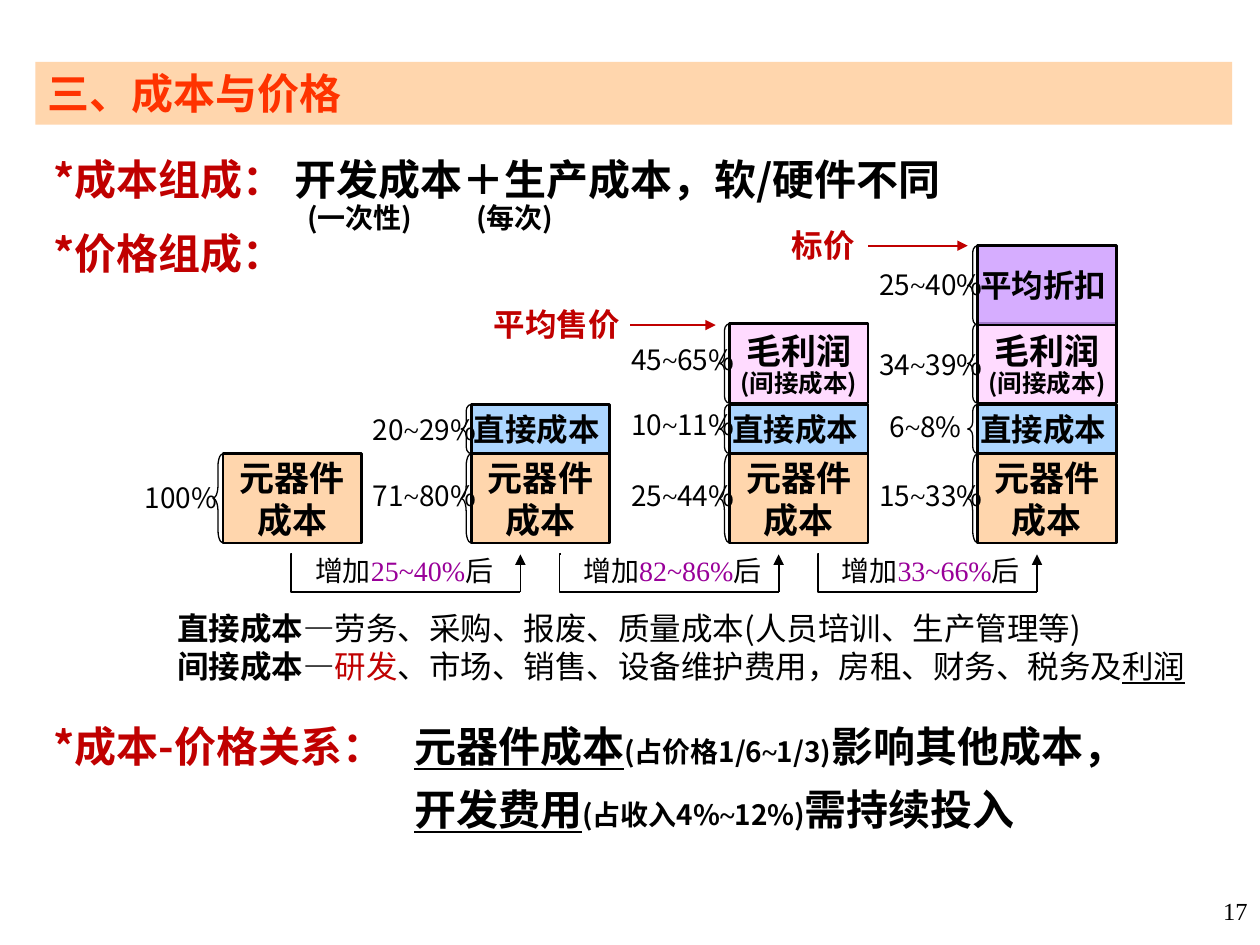
"""Build the slide on cost and price make-up."""
from dataclasses import dataclass
from typing import Optional

from lxml.etree import SubElement
from pptx import Presentation
from pptx.dml.color import RGBColor
from pptx.enum.shapes import MSO_CONNECTOR, MSO_SHAPE
from pptx.enum.text import MSO_ANCHOR, MSO_AUTO_SIZE, PP_ALIGN
from pptx.oxml.ns import qn
from pptx.util import Inches, Pt

NOTO = "Noto Sans CJK SC"
TIMES = "Times New Roman"
BLACK = RGBColor(0x00, 0x00, 0x00)
RED = RGBColor(0xC0, 0x00, 0x00)
ORANGE = RGBColor(0xFF, 0x33, 0x00)
PURPLE = RGBColor(0x99, 0x00, 0x99)
PEACH = RGBColor(0xFF, 0xCC, 0x99)
BLUE = RGBColor(0x99, 0xCC, 0xFF)
PINK = RGBColor(0xFF, 0xCC, 0xFF)
LILAC = RGBColor(0xCC, 0x99, 0xFF)
LEFT, MID, RIGHT = PP_ALIGN.LEFT, PP_ALIGN.CENTER, PP_ALIGN.RIGHT


@dataclass(frozen=True)
class Bit:
    text: str
    size: int = 16
    font: str = NOTO
    color: RGBColor = BLACK
    bold: bool = False
    under: bool = False


@dataclass(frozen=True)
class Para:
    bits: tuple
    align: PP_ALIGN = LEFT
    pitch: Optional[float] = None
    before: float = 0
    tabs: tuple = ()


@dataclass(frozen=True)
class Part:
    top: float
    height: float
    fill: RGBColor
    alpha: int
    bend: float
    paras: tuple


@dataclass(frozen=True)
class Share:
    low: str
    high: str
    mid: float
    shift: float = 0


@dataclass(frozen=True)
class Step:
    start: float
    end: float
    rate: str


def bold(text: str, size: int, font: str = NOTO, color: RGBColor = BLACK,
         under: bool = False) -> Bit:
    return Bit(text, size, font, color, True, under)


def span(low: str, high: str, heavy: bool = False) -> tuple:
    return (Bit(low, bold=heavy), Bit("~", font=TIMES, bold=heavy), Bit(high, bold=heavy))


PARTS = (
    Part(3.6, 0.71, PEACH, 80, 1.25, tuple(
        Para((bold(word, 20, TIMES),), MID, 24) for word in ("元器件", "成本"))),
    Part(3.21, 0.39, BLUE, 80, 0.667, (Para((bold("直接成本", 18, TIMES),)),)),
    Part(2.57, 0.63, PINK, 70, 0.667, (
        Para((bold("毛利润", 20, TIMES),), MID, 24),
        Para((bold("(间接成本)", 14),), MID, 15))),
    Part(1.95, 0.63, LILAC, 80, 0.667, (Para((bold("平均折扣", 18, TIMES),)),)),
)
STACKS = (
    (1.77, ()),
    (3.74, (Share("71", "80%", 3.94), Share("20", "29%", 3.41))),
    (5.79, (Share("25", "44%", 3.94), Share("10", "11%", 3.37), Share("45", "65%", 2.86))),
    (7.76, (Share("15", "33%", 3.94), Share("6", "8%", 3.39, 0.08),
            Share("34", "39%", 2.9), Share("25", "40%", 2.26))),
)
STEPS = (Step(2.32, 4.13, "25~40%"), Step(4.45, 6.18, "82~86%"), Step(6.5, 8.23, "33~66%"))


def write(frame, paras: tuple) -> None:
    for index, item in enumerate(paras):
        para = frame.add_paragraph() if index else frame.paragraphs[0]
        para.alignment = item.align
        para.space_before = Pt(item.before)
        if item.pitch:
            para.line_spacing = Pt(item.pitch)
        if item.tabs:
            stops = SubElement(para._p.get_or_add_pPr(), qn("a:tabLst"))
            for stop in item.tabs:
                SubElement(stops, qn("a:tab"), pos=str(Inches(stop)), algn="l")
        for bit in item.bits:
            run = para.add_run()
            run.text = bit.text
            font = run.font
            font.size, font.name, font.bold = Pt(bit.size), bit.font, bit.bold
            font.underline = bit.under
            font.color.rgb = bit.color
            SubElement(run._r.get_or_add_rPr(), qn("a:ea"), typeface=NOTO)


def tight(frame) -> None:
    frame.word_wrap = False
    frame.vertical_anchor = MSO_ANCHOR.MIDDLE
    frame.margin_left = frame.margin_right = Inches(0.02)
    frame.margin_top = frame.margin_bottom = Inches(0.01)


def block(slide, box: tuple, paras: tuple, pad: float = 0.06) -> None:
    frame = slide.shapes.add_textbox(*map(Inches, box)).text_frame
    frame.word_wrap = True
    frame.margin_top = Inches(pad)
    write(frame, paras)


def label(slide, box: tuple, bits: tuple, align: PP_ALIGN = LEFT) -> None:
    frame = slide.shapes.add_textbox(*map(Inches, box)).text_frame
    tight(frame)
    write(frame, (Para(bits, align),))


def paint(shape, color: RGBColor, alpha: int) -> None:
    shape.fill.solid()
    shape.fill.fore_color.rgb = color
    tone = shape._element.spPr.find(qn("a:solidFill")).find(qn("a:srgbClr"))
    SubElement(tone, qn("a:alpha"), val=str(alpha * 1000))


def link(slide, ends: tuple, color: RGBColor, width: float, bent: bool = False) -> None:
    kind = MSO_CONNECTOR.ELBOW if bent else MSO_CONNECTOR.STRAIGHT
    line = slide.shapes.add_connector(kind, *map(Inches, ends))
    line.line.color.rgb = color
    line.line.width = Pt(width)
    props = line._element.spPr
    if bent:
        guides = props.find(qn("a:prstGeom")).find(qn("a:avLst"))
        SubElement(guides, qn("a:gd"), name="adj1", fmla="val -500")
    else:
        SubElement(line.line._get_or_add_ln(), qn("a:tailEnd"), type="triangle")
    SubElement(props, qn("a:effectLst"))


def draw_part(slide, left: float, part: Part) -> None:
    box = slide.shapes.add_shape(MSO_SHAPE.RECTANGLE, *map(
        Inches, (left, part.top, 1.1, part.height)))
    paint(box, part.fill, part.alpha)
    tight(box.text_frame)
    write(box.text_frame, part.paras)
    brace = slide.shapes.add_shape(MSO_SHAPE.LEFT_BRACE, *map(
        Inches, (left - 0.08, part.top, 0.08, part.height)))
    brace.adjustments[0] = part.bend
    brace.fill.background()
    for shape, width in ((box, 1.5), (brace, 0.75)):
        shape.shadow.inherit = False
        shape.line.color.rgb = BLACK
        shape.line.width = Pt(width)


def draw_step(slide, step: Step) -> None:
    link(slide, (step.end, 4.7, step.end, 4.4), BLACK, 1)
    link(slide, (step.start, 4.4, step.end, 4.7), BLACK, 1, True)
    label(slide, (step.start + 0.16, 4.36, 1.65, 0.34), (
        Bit("增加", font=TIMES), Bit(step.rate, font=TIMES, color=PURPLE), Bit("后", font=TIMES)))


def main() -> None:
    deck = Presentation()
    deck.slide_width, deck.slide_height = Inches(10), Inches(7.5)
    slide = deck.slides.add_slide(deck.slide_layouts[5])
    title = slide.shapes.title
    title.left, title.top, title.width, title.height = map(Inches, (0.28, 0.49, 9.5, 0.5))
    paint(title, PEACH, 80)
    frame = title.text_frame
    frame.auto_size = MSO_AUTO_SIZE.NONE
    frame.vertical_anchor = MSO_ANCHOR.TOP
    frame.margin_top = Inches(0.06)
    write(frame, (Para((bold("三、成本与价格", 24, TIMES, ORANGE),), LEFT, 28),))

    heads = ((" *成本组成：", 0), (" *价格组成：", 6), (" *成本-价格关系：", 246))
    block(slide, (0.25, 1.06, 3.25, 5.15), tuple(
        Para((bold(text, 24, color=RED),), pitch=36, before=gap) for text, gap in heads))
    block(slide, (2.24, 1.06, 7.37, 0.88), (
        Para((bold("开发成本＋生产成本，软/硬件不同", 24),), pitch=36),
        Para((bold("\t(一次性)\t(每次)", 16),), pitch=17, tabs=(0.1, 1.44))))
    block(slide, (3.19, 5.56, 6.56, 1.04), (
        Para((bold("元器件成本", 24, under=True), *span("(占价格1/6", "1/3)", True),
              bold("影响其他成本，", 24)), pitch=36),
        Para((bold("开发费用", 24, under=True), *span("(占收入4%", "12%)", True),
              bold("需持续投入", 24)), pitch=36)))
    block(slide, (1.31, 4.78, 8.26, 0.71), (
        Para((bold("直接成本—", 18),
              Bit("劳务、采购、报废、质量成本(人员培训、生产管理等)", 18)), pitch=21.7),
        Para((bold("间接成本—", 18, TIMES), Bit("研发", 18, TIMES, RED),
              Bit("、市场、销售、设备维护费用，房租、财务、税务及", 18, TIMES),
              Bit("利润", 18, TIMES, under=True)), pitch=21.7)), 0.05)

    for left, shares in STACKS:
        for part in PARTS[:max(1, len(shares))]:
            draw_part(slide, left, part)
        for share in shares:
            label(slide, (left - 0.8 + share.shift, share.mid - 0.13, 0.92, 0.25),
                  span(share.low, share.high))
    label(slide, (1.08, 3.82, 0.71, 0.25), (Bit("100%"),), MID)
    label(slide, (6.18, 1.77, 0.71, 0.35), (bold("标价", 18, TIMES, RED),), MID)
    label(slide, (3.9, 2.41, 1.1, 0.33), (bold("平均售价", 18, TIMES, RED),))
    link(slide, (6.89, 1.95, 7.68, 1.95), RED, 1.25)
    link(slide, (5, 2.58, 5.68, 2.58), RED, 1.25)
    for step in STEPS:
        draw_step(slide, step)
    block(slide, (8.86, 7.06, 1.14, 0.39), (Para((Bit("17", 14, TIMES),), RIGHT),), 0.05)
    deck.save("out.pptx")


if __name__ == "__main__":
    main()
